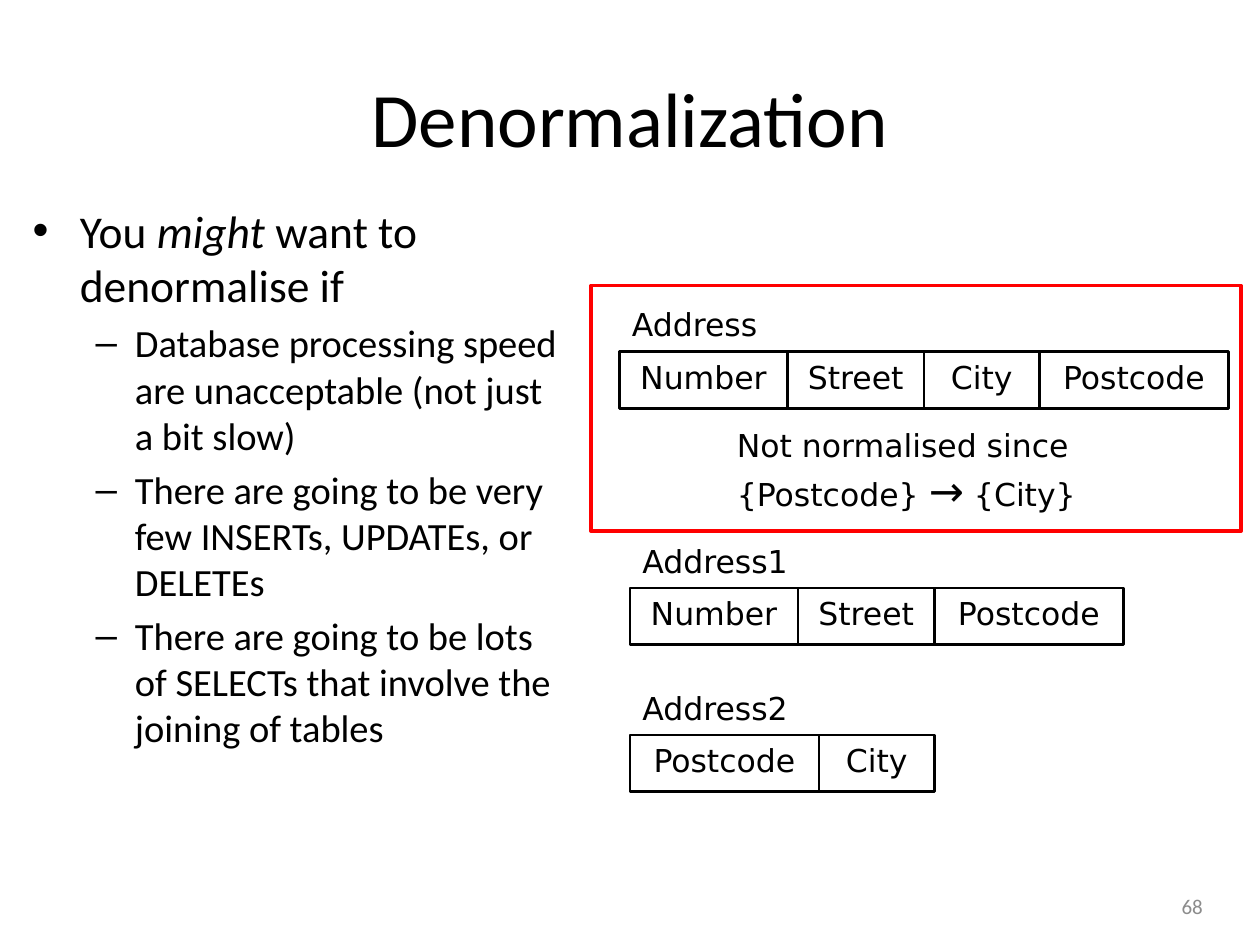
import dataclasses

import pptx
import pptx.dml.color
import pptx.enum.shapes
import pptx.enum.text
import pptx.util

EMU_PER_PX = 7620  # 120 px to the inch
BLACK, RED, GREY = "000000", "FF0000", "8C8C8C"
BODY_FONT, DIAGRAM_FONT = "Calibri", "DejaVu Sans"
ALIGN = pptx.enum.text.PP_ALIGN
ANCHOR = pptx.enum.text.MSO_ANCHOR

COLUMN_WIDTHS = {"Number": 160, "Street": 130, "City": 110, "Postcode": 180}
ROW_HEIGHT = 54
LABEL_RISE = 50


@dataclasses.dataclass
class Relation:
    name: str
    left: int
    top: int
    columns: list[str]
    label_width: int


@dataclasses.dataclass
class Span:
    text: str
    size: int
    italic: bool = False


RELATIONS = [
    Relation("Address", 590, 335, ["Number", "Street", "City", "Postcode"], 157),
    Relation("Address1", 600, 560, ["Number", "Street", "Postcode"], 179),
    Relation("Address2", 600, 700, ["Postcode", "City"], 179),
]

BULLETS = [
    (0, [Span("You ", 26), Span("might", 26, True), Span(" want to denormalise if", 26)]),
    (1, [Span("Database processing speed are unacceptable (not just a bit slow)", 22)]),
    (1, [Span("There are going to be very few INSERTs, UPDATEs, or DELETEs", 22)]),
    (1, [Span("There are going to be lots of SELECTs that involve the joining of tables", 22)]),
]

EXPLANATION = [
    (0, [Span("Not normalised since", 18)]),
    (0, [Span("{Postcode} ", 18), Span("→", 24), Span(" {City}", 18)]),
]


def px(length: int) -> pptx.util.Emu:
    return pptx.util.Emu(length * EMU_PER_PX)


def color(value: str) -> pptx.dml.color.RGBColor:
    return pptx.dml.color.RGBColor.from_string(value)


def place(shape, left: int, top: int, width: int, height: int) -> None:
    shape.left, shape.top = px(left), px(top)
    shape.width, shape.height = px(width), px(height)


def write(frame, paragraphs, font: str, fill: str = BLACK, align=None) -> None:
    """Fill a text frame with (level, spans) paragraphs."""
    for index, (level, spans) in enumerate(paragraphs):
        para = frame.paragraphs[0] if index == 0 else frame.add_paragraph()
        para.level = level
        if index == 0:
            para.space_before = pptx.util.Pt(0)
        if align is not None:
            para.alignment = align
        for span in spans:
            run = para.add_run()
            run.text = span.text
            run.font.name = font
            run.font.size = pptx.util.Pt(span.size)
            run.font.color.rgb = color(fill)
            if span.italic:
                run.font.italic = True


def add_text(slide, bounds: tuple[int, int, int, int], paragraphs,
             font: str = DIAGRAM_FONT, fill: str = BLACK, align=None):
    box = slide.shapes.add_textbox(*map(px, bounds))
    write(box.text_frame, paragraphs, font, fill, align)
    return box


def add_outline(slide, bounds: tuple[int, int, int, int], line: str, weight: float):
    box = slide.shapes.add_shape(
        pptx.enum.shapes.MSO_SHAPE.RECTANGLE, *map(px, bounds))
    box.shadow.inherit = False
    box.fill.background()
    box.line.color.rgb = color(line)
    box.line.width = pptx.util.Pt(weight)
    return box


def add_relation(slide, relation: Relation) -> None:
    add_text(slide, (relation.left, relation.top - LABEL_RISE, relation.label_width, 52),
             [(0, [Span(relation.name, 18)])])
    left = relation.left
    for column in relation.columns:
        width = COLUMN_WIDTHS[column]
        cell = add_outline(slide, (left, relation.top, width, ROW_HEIGHT), BLACK, 1.5)
        cell.text_frame.vertical_anchor = ANCHOR.TOP
        write(cell.text_frame, [(0, [Span(column, 18)])], DIAGRAM_FONT, align=ALIGN.CENTER)
        left += width


def main() -> None:
    deck = pptx.Presentation()
    deck.slide_width, deck.slide_height = px(1200), px(900)
    slide = deck.slides.add_slide(deck.slide_layouts[1])

    # Title and bullet list
    title, body = slide.placeholders
    place(title, 60, 36, 1080, 150)
    title.text_frame.vertical_anchor = ANCHOR.MIDDLE
    write(title.text_frame, [(0, [Span("Denormalization", 44)])], BODY_FONT,
          align=ALIGN.CENTER)
    place(body, 19, 187, 525, 667)
    write(body.text_frame, BULLETS, BODY_FONT)

    # Relations, with the denormalised one explained and framed
    for relation in RELATIONS:
        add_relation(slide, relation)
    add_text(slide, (690, 400, 386, 100), EXPLANATION)
    add_outline(slide, (563, 272, 619, 234), RED, 2)

    # Slide number
    number = add_text(slide, (1100, 844, 71, 38), [(0, [Span("68", 12)])],
                      BODY_FONT, GREY, ALIGN.CENTER)
    number.text_frame.vertical_anchor = ANCHOR.MIDDLE

    deck.save("out.pptx")


if __name__ == "__main__":
    main()
